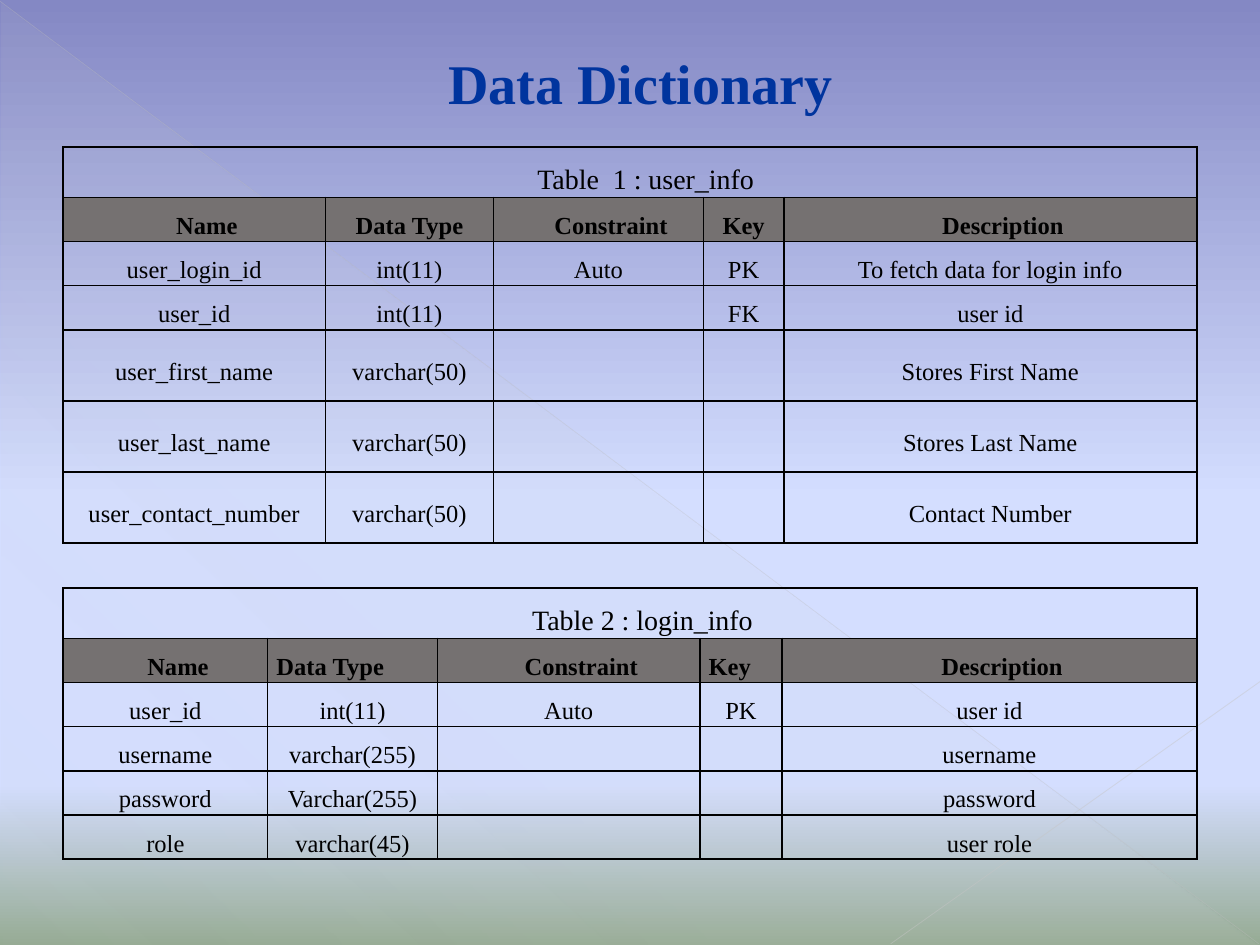
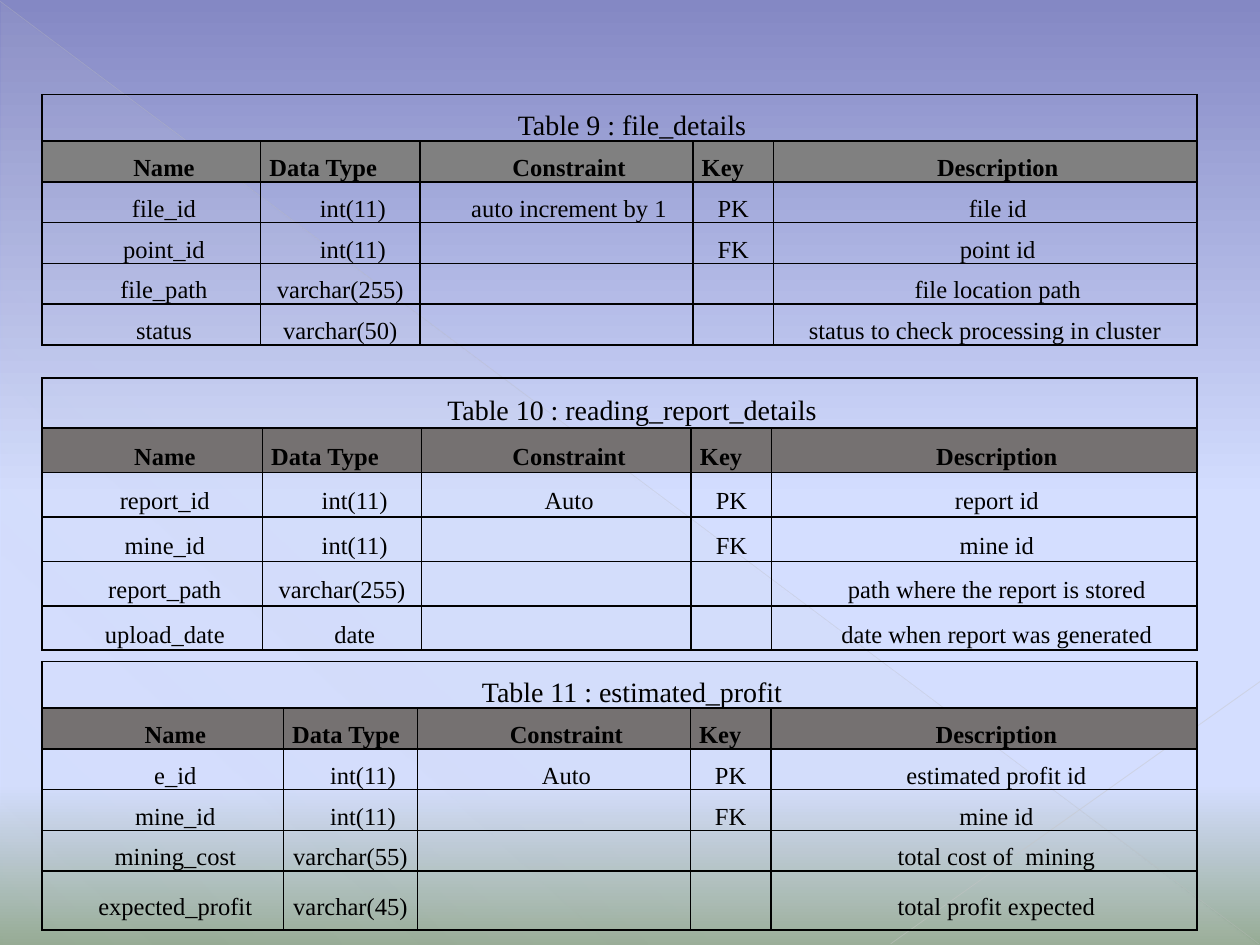
import pptx
import pptx.dml.color
import pptx.enum.shapes
import pptx.enum.text
import pptx.oxml
import pptx.oxml.ns
import pptx.util

Pt = pptx.util.Pt
ALIGN = pptx.enum.text.PP_ALIGN
FONT = "Times New Roman"
BLACK, NAVY, WARM_GRAY, GRAY = "000000", "00349E", "757171", "808080"
FIRST_LINE = 14.4
KEY_COLUMN = 3

# Content
TITLE = "Data Dictionary"
HEADINGS = ("Name", "Data Type", "Constraint", "Key", "Description")
LONG_NOTE = "status to check processing in cluster"

USER_INFO = dict(
    caption=" Table  1 : user_info", left=36, top=84,
    widths=(150, 96, 120, 46, 236), heights=[28.6] + [25.2] * 3 + [40.6] * 3,
    header_fill=WARM_GRAY, justified=False, indented=False,
    rows=[
        ("user_login_id", "int(11)", "Auto", "PK", "To fetch data for login info"),
        ("user_id", "int(11)", "", "FK", "user id"),
        ("user_first_name", "varchar(50)", "", "", "Stores First Name"),
        ("user_last_name", "varchar(50)", "", "", "Stores Last Name"),
        ("user_contact_number", "varchar(50)", "", "", "Contact Number"),
    ])
LOGIN_INFO = dict(
    caption="Table 2 : login_info", left=36, top=336,
    widths=(117, 97, 150, 47, 237), heights=[28.6] + [25.2] * 5,
    header_fill=WARM_GRAY, justified=True, indented=False,
    rows=[
        ("user_id", "int(11)", "Auto", "PK", "user id"),
        ("username", "varchar(255)", "", "", "username"),
        ("password", "Varchar(255)", "", "", "password"),
        ("role", "varchar(45)", "", "", "user role"),
    ])
FILE_DETAILS = dict(
    caption="Table 9 : file_details", left=24, top=54,
    widths=(125, 91, 156, 46, 242), heights=[26.4] + [23.3] * 5,
    header_fill=GRAY, justified=True, indented=True,
    rows=[
        ("file_id", "int(11)", "auto increment by 1", "PK", "file id"),
        ("point_id", "int(11)", "", "FK", "point id"),
        ("file_path", "varchar(255)", "", "", "file location path"),
        ("status", "varchar(50)", "", "", LONG_NOTE),
    ])
REPORT_DETAILS = dict(
    caption="Table 10 : reading_report_details", left=24, top=216,
    widths=(126, 91, 154, 46, 243), heights=[28.6] + [25.4] * 5,
    header_fill=WARM_GRAY, justified=True, indented=True,
    rows=[
        ("report_id", "int(11)", "Auto", "PK", "report id"),
        ("mine_id", "int(11)", "", "FK", "mine id"),
        ("report_path", "varchar(255)", "", "", "path where the report is stored"),
        ("upload_date", "date", "", "", "date when report was generated"),
    ])
ESTIMATED_PROFIT = dict(
    caption="Table 11 : estimated_profit", left=24, top=378,
    widths=(138, 76.5, 156, 46, 243.5), heights=[26.4] + [23.3] * 4 + [33.6],
    header_fill=WARM_GRAY, justified=True, indented=True,
    rows=[
        ("e_id", "int(11)", "Auto", "PK", "estimated profit id"),
        ("mine_id", "int(11)", "", "FK", "mine id"),
        ("mining_cost", "varchar(55)", "", "", "total cost of  mining"),
        ("expected_profit", "varchar(45)", "", "", "total profit expected"),
    ])
SLIDES = [
    (TITLE, [USER_INFO, LOGIN_INFO]),
    (None, [FILE_DETAILS, REPORT_DETAILS, ESTIMATED_PROFIT]),
]

# Backdrop: gradient stops as (percent, colour, opacity percent)
SKY = [(0, "8488C4", 100), (53, "D4DEFF", 100), (83, "D4DEFF", 100), (100, "96AB94", 100)]
SHEEN = [(0, "D2D2D2", 10), (70, "D2D2D2", 8), (100, "D2D2D2", 1)]
DIAGONALS = [  # start, end, colour, width, opacity percent
    ((0, 0.7), (719.3, 539.3), "BFBFBF", 0.39, 35),
    ((720, 389.5), (509, 539.3), "C6C6C6", 0.47, 45),
]


def rgb(color):
    return pptx.dml.color.RGBColor.from_string(color)


def drawing_xml(markup):
    """Parse markup whose root is a DrawingML element."""
    namespace = pptx.oxml.ns.nsdecls("a")
    return pptx.oxml.parse_xml(markup.replace(">", f" {namespace}>", 1))


def set_gradient(fill, owner, stops, angle):
    fill.solid()
    fill.fore_color.rgb = rgb(BLACK)
    marks = "".join(
        f'<a:gs pos="{position * 1000}"><a:srgbClr val="{color}">'
        f'<a:alpha val="{opacity * 1000}"/></a:srgbClr></a:gs>'
        for position, color, opacity in stops)
    gradient = drawing_xml(
        f'<a:gradFill rotWithShape="1"><a:gsLst>{marks}</a:gsLst>'
        f'<a:lin ang="{angle * 60000}" scaled="0"/></a:gradFill>')
    solid = owner.find(".//" + pptx.oxml.ns.qn("a:solidFill"))
    solid.getparent().replace(solid, gradient)


def style_runs(paragraph, size, color, bold=False):
    for run in paragraph.runs:
        run.font.name = FONT
        run.font.size = Pt(size)
        run.font.bold = bold
        run.font.color.rgb = rgb(color)


def build_backdrop(master, slide):
    """Draw the shared parts, then move them to the master."""
    background = master.background
    background.fill.solid()
    set_gradient(background.fill, master.element.cSld, SKY, 90)
    triangle = slide.shapes.add_shape(
        pptx.enum.shapes.MSO_SHAPE.RIGHT_TRIANGLE, Pt(0.7), Pt(1.4), Pt(718.6), Pt(538.6))
    triangle.shadow.inherit = False
    triangle.line.fill.background()
    set_gradient(triangle.fill, triangle.element.spPr, SHEEN, 133)
    parts = [triangle]
    for start, end, color, width, opacity in DIAGONALS:
        line = slide.shapes.add_connector(
            pptx.enum.shapes.MSO_CONNECTOR.STRAIGHT, *map(Pt, start + end))
        line.line.width = Pt(width)
        line.line.color.rgb = rgb(color)
        shade = line.element.spPr.find(".//" + pptx.oxml.ns.qn("a:srgbClr"))
        shade.append(drawing_xml(f'<a:alpha val="{opacity * 1000}"></a:alpha>'))
        line.element.spPr.append(drawing_xml("<a:effectLst></a:effectLst>"))
        parts.append(line)
    for part in parts:
        master.shapes.element.append(part.element)


def add_title(slide, text):
    box = slide.shapes.add_textbox(Pt(150), Pt(24), Pt(432), Pt(46))
    box.text_frame.word_wrap = True
    box.text_frame.text = text
    paragraph = box.text_frame.paragraphs[0]
    paragraph.alignment = ALIGN.CENTER
    style_runs(paragraph, 32, NAVY, bold=True)


def format_cell(cell, fill):
    """Set fill, margins and a black border on all four sides."""
    cell.margin_left = cell.margin_right = Pt(5)
    cell.margin_top = cell.margin_bottom = 0
    cell.vertical_anchor = pptx.enum.text.MSO_ANCHOR.MIDDLE
    if fill:
        cell.fill.solid()
        cell.fill.fore_color.rgb = rgb(fill)
    else:
        cell.fill.background()
    properties = cell._tc.get_or_add_tcPr()
    for index, side in enumerate("LRTB"):
        properties.insert(index, drawing_xml(
            f'<a:ln{side} w="12700"><a:solidFill><a:srgbClr val="{BLACK}"/></a:solidFill>'
            f'<a:prstDash val="solid"/></a:ln{side}>'))


def write_cell(cell, text, size=14, bold=False, align=ALIGN.CENTER, indent=False):
    cell.text_frame.text = text
    paragraph = cell.text_frame.paragraphs[0]
    paragraph.alignment = align
    paragraph.line_spacing = 1.5
    if indent:
        properties = paragraph._p.get_or_add_pPr()
        properties.set("marL", "0")
        properties.set("indent", str(Pt(FIRST_LINE)))
    style_runs(paragraph, size, BLACK, bold)


def add_dictionary(slide, data):
    widths, heights = data["widths"], data["heights"]
    table = slide.shapes.add_table(
        len(heights), len(widths), Pt(data["left"]), Pt(data["top"]),
        Pt(sum(widths)), Pt(sum(heights))).table
    table.first_row = table.horz_banding = False
    for column, width in zip(table.columns, widths):
        column.width = Pt(width)
    for index, (row, height) in enumerate(zip(table.rows, heights)):
        row.height = Pt(height)
        for cell in row.cells:
            format_cell(cell, data["header_fill"] if index == 1 else None)

    # Caption row
    table.cell(0, 0).merge(table.cell(0, len(widths) - 1))
    write_cell(table.cell(0, 0), data["caption"], size=16, indent=True)

    # Heading row
    for index, heading in enumerate(HEADINGS):
        narrow = heading in ("Data Type", "Key")
        align = ALIGN.JUSTIFY if narrow and data["justified"] else ALIGN.CENTER
        write_cell(table.cell(1, index), heading, bold=True, align=align, indent=not narrow)

    # Field rows
    for row_index, values in enumerate(data["rows"], start=2):
        for index, value in enumerate(values):
            if value:
                tight = (index == KEY_COLUMN or value.startswith("varchar")
                         or value == LONG_NOTE)
                write_cell(table.cell(row_index, index), value,
                           indent=data["indented"] and not tight)


def main():
    presentation = pptx.Presentation()
    presentation.slide_width, presentation.slide_height = Pt(720), Pt(540)
    blank = presentation.slide_layouts[6]
    for index, (title, dictionaries) in enumerate(SLIDES):
        slide = presentation.slides.add_slide(blank)
        if index == 0:
            build_backdrop(presentation.slide_master, slide)
        if title:
            add_title(slide, title)
        for data in dictionaries:
            add_dictionary(slide, data)
    presentation.save("out.pptx")


if __name__ == "__main__":
    main()
